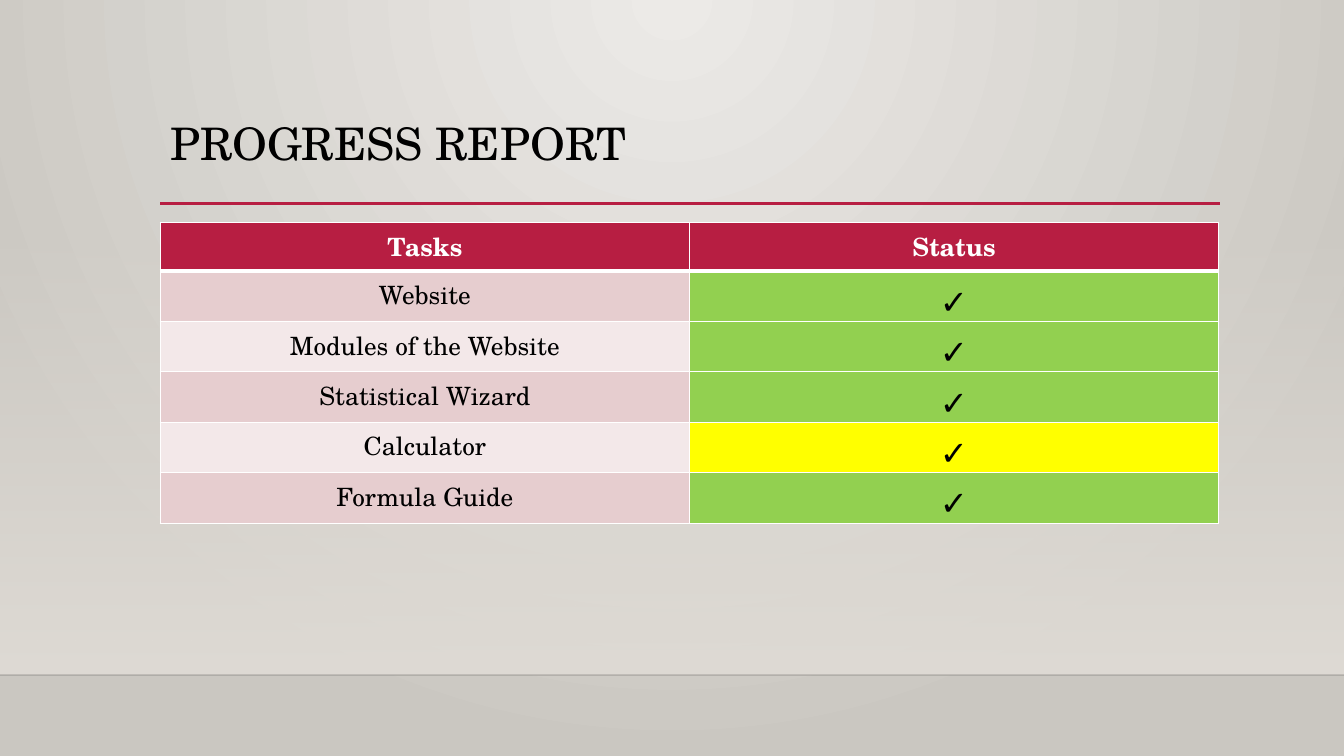
from lxml import etree
from pptx import Presentation
from pptx import util as u
from pptx.dml.color import RGBColor
from pptx.enum import shapes, text
from pptx.oxml.ns import qn

FONT = "TeX Gyre Schola"
HUES = {
    "glow": "ECEAE7", "edge": "CAC7C1", "floor": "DFDBD5", "seam": "000001",
    "red": "B71E42", "rose": "E6CDCF", "blush": "F3E8E9",
    "green": "92D050", "yellow": "FFFF00", "black": "000000", "white": "FFFFFF",
}
TASKS = [
    ("Website", "green"),
    ("Modules of the Website", "green"),
    ("Statistical Wizard", "green"),
    ("Calculator", "yellow"),
    ("Formula Guide", "green"),
]


def hue(name):
    return RGBColor.from_string(HUES[name])


def add(node, tag, **attrs):
    return etree.SubElement(node, qn(tag), {k: str(v) for k, v in attrs.items()})


def add_hue(node, name, alpha=100):
    clr = add(node, "a:srgbClr", val=HUES[name])
    if alpha < 100:
        add(clr, "a:alpha", val=alpha * 1000)


def blend(root, stops):
    grad = root.find(".//" + qn("a:gradFill"))
    for child in list(grad):
        grad.remove(child)
    group = add(grad, "a:gsLst")
    for pos, name, alpha in stops:
        add_hue(add(group, "a:gs", pos=pos * 1000), name, alpha)
    return grad


def style(par, size, name, bold=False):
    for run in par.runs:
        font = run.font
        font.name, font.size, font.bold = FONT, u.Pt(size), bold
        font.color.rgb = hue(name)


def rule(slide, left, top, width, name, weight, alpha=100):
    line = slide.shapes.add_connector(
        shapes.MSO_CONNECTOR.STRAIGHT, left, top, left + width, top)
    line.line.width = u.Pt(weight)
    line.line.color.rgb = hue(name)
    props = line._element.spPr
    if alpha < 100:
        add(props.find(".//" + qn("a:srgbClr")), "a:alpha", val=alpha * 1000)
    add(props, "a:effectLst")


def backdrop(slide, left, top, width, height):
    slide.background.fill.gradient()
    grad = blend(slide._element, [(0, "glow", 100), (100, "edge", 100)])
    way = add(grad, "a:path", path="circle")
    add(way, "a:fillToRect", l=43000, t=0, r=43000, b=100000)

    wall = slide.shapes.add_shape(
        shapes.MSO_SHAPE.RECTANGLE, left, top, width, height)
    wall.shadow.inherit = False
    wall.line.fill.background()
    wall.fill.gradient()
    grad = blend(wall._element, [(0, "floor", 0), (100, "floor", 100)])
    add(grad, "a:lin", ang=5400000, scaled=0)
    rule(slide, left, top + height, width, "seam", 1, 20)


def heading(slide, left, top, width, height):
    rule(slide, left, top + height, u.Cm(26.7), "red", 2.5)
    frame = slide.shapes.add_textbox(left, top, width, height).text_frame
    frame.word_wrap = True
    frame.vertical_anchor = text.MSO_ANCHOR.MIDDLE
    frame.text = "PROGRESS REPORT"
    par = frame.paragraphs[0]
    par.line_spacing = 0.9
    style(par, 32, "black")


def border(cell, sides):
    props = cell._tc.get_or_add_tcPr()
    for spot, (side, weight) in enumerate(sides.items()):
        line = etree.Element(qn("a:ln" + side), w=str(u.Pt(weight)))
        add_hue(add(line, "a:solidFill"), "white")
        props.insert(spot, line)


def paint(cell, words, fill, size, ink="black", bold=False, top=1, base=1):
    cell.text_frame.text = words
    par = cell.text_frame.paragraphs[0]
    par.alignment = text.PP_ALIGN.CENTER
    style(par, size, ink, bold)
    cell.fill.solid()
    cell.fill.fore_color.rgb = hue(fill)
    border(cell, {"L": 1, "R": 1, "T": top, "B": base})


def report(slide, left, top, width, height):
    grid = slide.shapes.add_table(
        len(TASKS) + 1, 2, left, top, width, height).table
    for col, words in enumerate(("Tasks", "Status")):
        paint(grid.cell(0, col), words, "red", 18, "white", True, base=3)
    for row, (task, state) in enumerate(TASKS, 1):
        edge = 3 if row == 1 else 1
        band = "rose" if row % 2 else "blush"
        paint(grid.cell(row, 0), task, band, 18, top=edge)
        paint(grid.cell(row, 1), "✓", state, 24, top=edge)


def main():
    deck = Presentation()
    deck.slide_width, deck.slide_height = u.Cm(33.87), u.Cm(19.05)
    slide = deck.slides.add_slide(deck.slide_layouts[6])
    left, width = u.Cm(4.04), u.Cm(26.67)
    backdrop(slide, 0, u.Cm(5.61), deck.slide_width, u.Cm(11.4))
    heading(slide, left, u.Cm(2.23), width, u.Cm(2.9))
    report(slide, left, u.Cm(5.6), width, u.Cm(7.37))
    deck.save("out.pptx")


if __name__ == "__main__":
    main()
